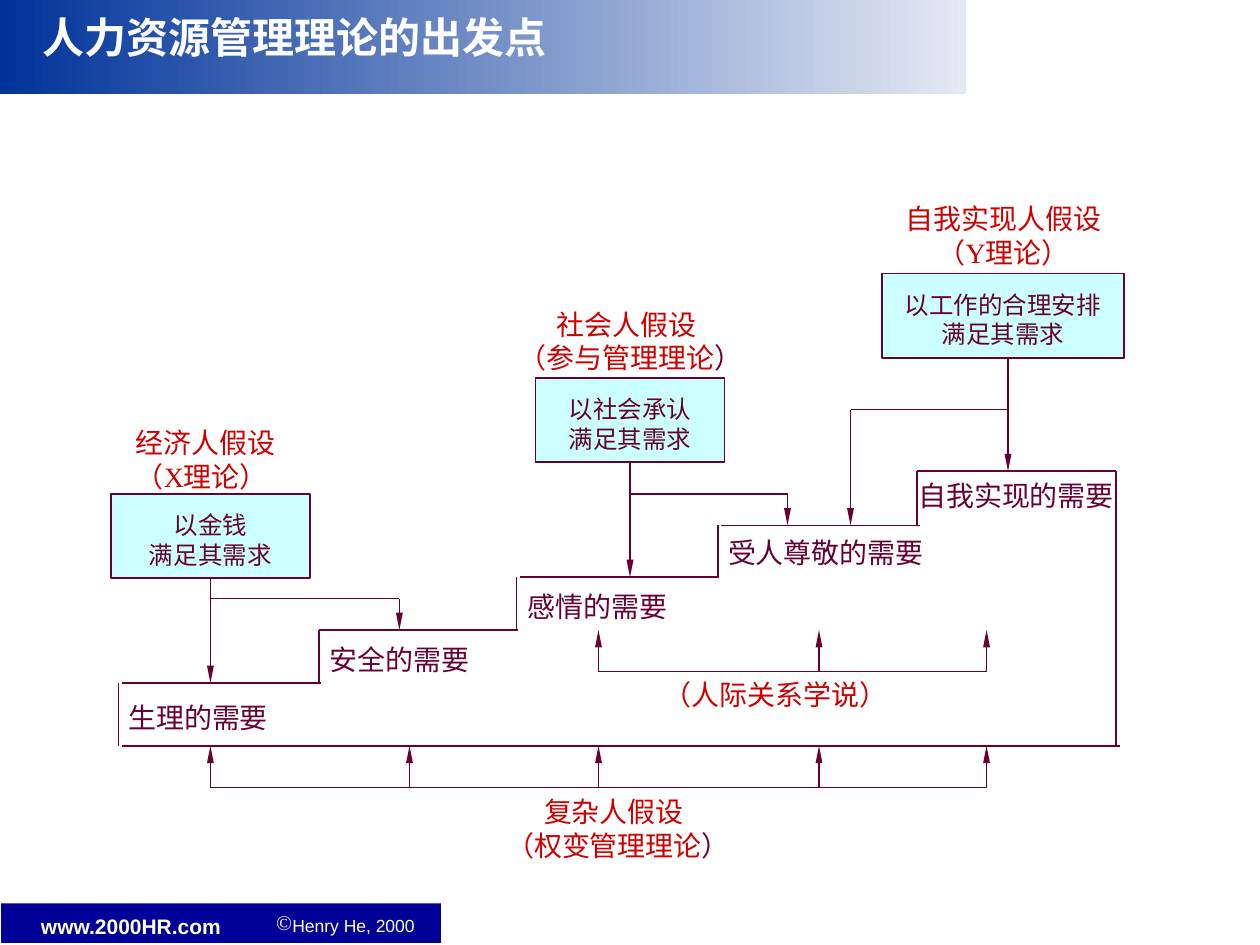
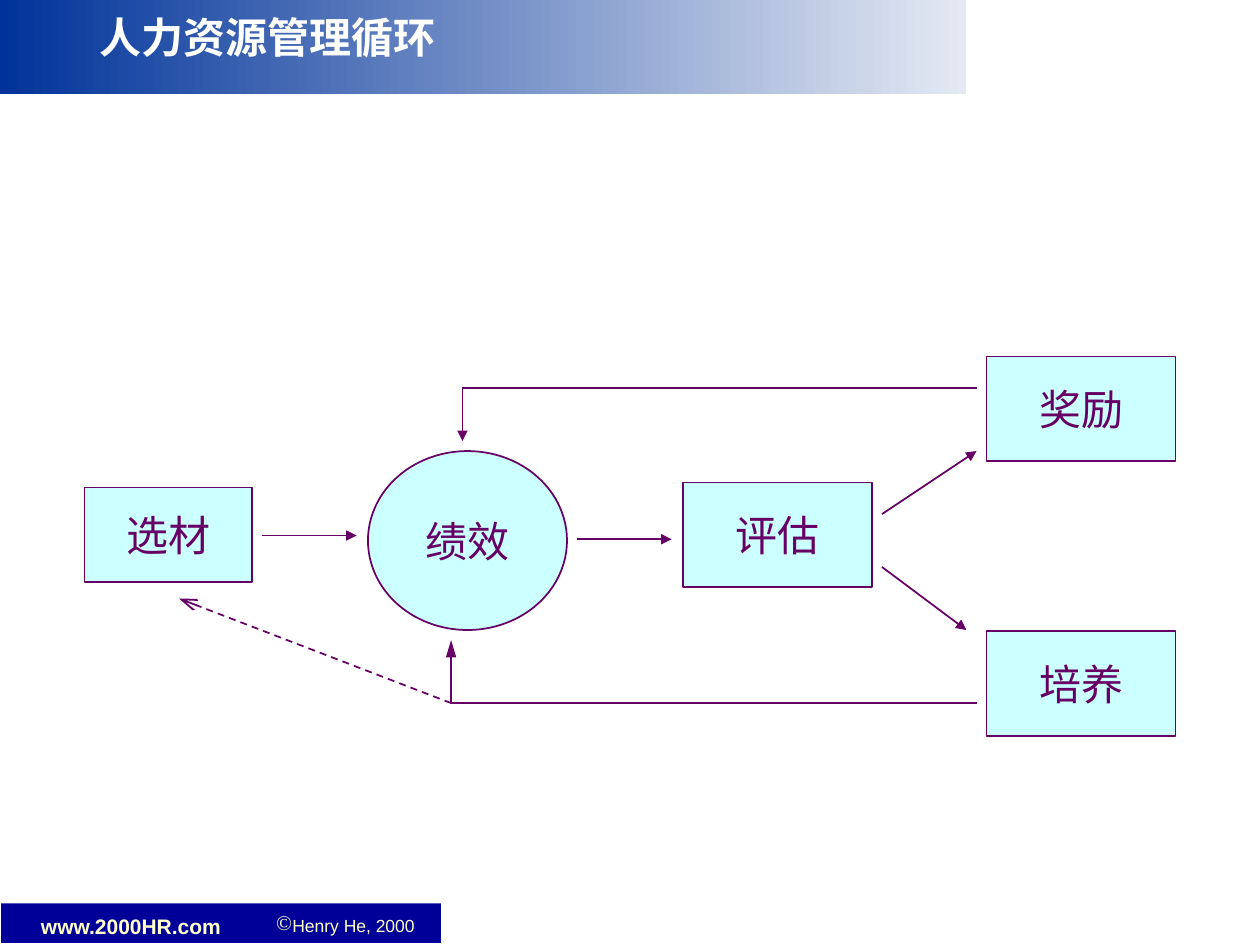
import dataclasses
from typing import NamedTuple, Optional

import pptx
import pptx.dml.color
import pptx.enum.dml
import pptx.enum.shapes
import pptx.enum.text
import pptx.oxml
import pptx.oxml.ns
import pptx.util
from pptx.util import Inches

RGB = pptx.dml.color.RGBColor.from_string
SHAPE = pptx.enum.shapes.MSO_SHAPE
ALIGN = pptx.enum.text.PP_ALIGN
ANCHOR = pptx.enum.text.MSO_ANCHOR
FIT = pptx.enum.text.MSO_AUTO_SIZE.SHAPE_TO_FIT_TEXT


@dataclasses.dataclass(frozen=True)
class Theme:
    white: str = "FFFFFF"
    band_dark: str = "003399"
    band_light: str = "E4E9F3"
    footer: str = "000099"
    cream: str = "FFFFCC"
    box: str = "CCFFFF"
    plum: str = "660033"
    purple: str = "660066"
    red: str = "CC0000"
    serif: str = "Times New Roman"
    sans: str = "Arial"
    title: int = 24
    node: int = 24
    label: int = 16
    motive: int = 14
    site: int = 12
    copyright: int = 10


T = Theme()


class Step(NamedTuple):
    riser_x: float
    tread_x: float
    top: float
    label_x: float
    label_y: float
    width: float
    text: str


class Motive(NamedTuple):
    left: float
    top: float
    width: float
    means: str
    trunk_x: float
    trunk_end: float
    fork_y: float
    fork_x: float
    fork_end: float
    centered: bool


class Caption(NamedTuple):
    left: float
    top: float
    width: float
    lines: list
    height: float = 0.64
    align: Optional[ALIGN] = None
    indent: float = 0


class Node(NamedTuple):
    left: float
    top: float
    width: float
    height: float
    text: str
    kind: SHAPE = SHAPE.RECTANGLE


class Arrow(NamedTuple):
    start: tuple
    end: tuple
    head: Optional[str] = "triangle"
    length: str = "med"
    dashed: bool = False


BASE_Y = 5.92
TREAD = 1.58

STEPS = [
    Step(0.94, 0.97, 5.42, 0.92, 5.51, 1.31, "生理的需要"),
    Step(2.53, 2.53, 5, 2.52, 5.05, 1.31, "安全的需要"),
    Step(4.1, 4.13, 4.58, 4.09, 4.63, 1.31, "感情的需要"),
    Step(5.7, 5.72, 4.17, 5.68, 4.2, 1.75, "受人尊敬的需要"),
    Step(7.28, 7.28, 3.74, 7.19, 3.75, 1.75, "自我实现的需要"),
]

MOTIVES = [
    Motive(0.88, 3.92, 1.58, "以金钱", 1.67, 5.42, 4.75, 3.17, 5, True),
    Motive(4.25, 3, 1.5, "以社会承认", 5, 4.58, 3.92, 6.25, 4.17, True),
    Motive(7, 2.17, 1.92, "以工作的合理安排", 8, 3.74, 3.25, 6.75, 4.17, False),
]

CAPTIONS = [
    Caption(0.98, 3.33, 1.35, ["经济人假设", "（X理论）"]),
    Caption(4.02, 2.39, 1.97, ["社会人假设", [("（参与管理理论", T.red), ("）", T.plum)]], indent=0.3),
    Caption(7.09, 1.55, 1.75, ["自我实现人假设", "（Y理论）"], align=ALIGN.CENTER),
    Caption(5.17, 5.33, 1.97, ["（人际关系学说）"], height=0.37),
    Caption(3.92, 6.26, 1.97, ["复杂人假设", [("（权变管理理论", T.red), ("）", T.plum)]], indent=0.3),
]

NODES = [
    Node(0.67, 3.87, 1.33, 0.75, "选材"),
    Node(2.92, 3.58, 1.58, 1.42, "绩效", SHAPE.OVAL),
    Node(7.83, 5.01, 1.5, 0.83, "培养"),
    Node(7.83, 2.83, 1.5, 0.83, "奖励"),
    Node(5.42, 3.83, 1.5, 0.83, "评估"),
]

ARROWS = [
    Arrow((2.08, 4.25), (2.83, 4.25)),
    Arrow((4.58, 4.28), (5.33, 4.28)),
    Arrow((7, 4.08), (7.75, 3.58)),
    Arrow((7, 4.5), (7.67, 5)),
    Arrow((7.75, 3.08), (3.67, 3.08), head=None),
    Arrow((3.67, 3.08), (3.67, 3.5)),
    Arrow((7.75, 5.58), (3.58, 5.58), head=None),
    Arrow((3.58, 5.58), (3.58, 5.08), length="lg"),
    Arrow((3.58, 5.58), (1.42, 4.75), head="arrow", length="lg", dashed=True),
]


def add_xml(parent, tag: str, **attrs: str):
    el = pptx.oxml.ns.qn(tag)
    child = parent.makeelement(el, attrs)
    parent.append(child)
    return child


def write(sp, lines: list, *, size: int, color: str, font: str = T.serif, bold: bool = False,
          align: Optional[ALIGN] = None, anchor=ANCHOR.TOP, wrap: bool = False,
          fit: bool = False, indent: float = 0, margins: tuple = (0.1, 0.05, 0.1, 0.05)):
    tf = sp.text_frame
    tf.word_wrap = wrap
    tf.vertical_anchor = anchor
    tf.margin_left, tf.margin_top, tf.margin_right, tf.margin_bottom = map(Inches, margins)
    if fit:
        tf.auto_size = FIT
    for i, line in enumerate(lines):
        p = tf.add_paragraph() if i else tf.paragraphs[0]
        if align is not None:
            p.alignment = align
        if indent and i == 0:
            p._p.get_or_add_pPr().set("marL", str(Inches(indent)))
        for text, shade in [(line, color)] if isinstance(line, str) else line:
            r = p.add_run()
            r.text = text
            r.font.size = pptx.util.Pt(size)
            r.font.name = font
            r.font.bold = bold
            r.font.color.rgb = RGB(shade)
    return tf


def add_text(s, left: float, top: float, width: float, height: float, lines: list, **fmt):
    sp = s.shapes.add_textbox(Inches(left), Inches(top), Inches(width), Inches(height))
    return write(sp, lines, **fmt)


def add_box(s, left: float, top: float, width: float, height: float, *,
            fill: Optional[str] = None, line: Optional[str] = None, kind=SHAPE.RECTANGLE):
    sp = s.shapes.add_shape(kind, Inches(left), Inches(top), Inches(width), Inches(height))
    sp.shadow.inherit = False
    if fill:
        sp.fill.solid()
        sp.fill.fore_color.rgb = RGB(fill)
    else:
        sp.fill.background()
    if line:
        sp.line.color.rgb = RGB(line)
        sp.line.width = pptx.util.Pt(1)
    else:
        sp.line.fill.background()
    return sp


def add_line(s, start: tuple, end: tuple, *, color: str = T.plum, head: Optional[str] = None,
             head_width: str = "sm", head_length: str = "lg", dashed: bool = False):
    cx = s.shapes.add_connector(pptx.enum.shapes.MSO_CONNECTOR.STRAIGHT,
                                *map(Inches, (*start, *end)))
    cx.line.color.rgb = RGB(color)
    cx.line.width = pptx.util.Pt(1)
    if dashed:
        cx.line.dash_style = pptx.enum.dml.MSO_LINE.DASH
    if head:
        add_xml(cx.line._get_or_add_ln(), "a:tailEnd", type=head, w=head_width, len=head_length)
    add_xml(cx._element.spPr, "a:effectLst")
    return cx


def add_comb(s, bar_y: float, tip_y: float, xs: list) -> None:
    add_line(s, (xs[0], bar_y), (xs[-1], bar_y))
    for x in xs:
        add_line(s, (x, bar_y), (x, tip_y), head="triangle")


def add_base_slide(prs, title: str, title_width: float):
    s = prs.slides.add_slide(prs.slide_layouts[6])
    add_box(s, 0, 7.17, 3.5, 0.33, fill=T.footer)
    add_box(s, 0, 0, 9.97, 7.49, line=T.white)
    tf = add_text(s, 2.19, 7.28, 1.17, 0.15, ["Henry He, 2000"], size=T.copyright, color=T.cream,
                  font=T.sans, anchor=ANCHOR.MIDDLE, wrap=True, fit=True, margins=(0, 0, 0, 0))
    p = tf.paragraphs[0]
    p.line_spacing = 0.9
    pPr = p._p.get_or_add_pPr()
    pPr.set("marL", str(Inches(0.1)))
    pPr.set("indent", str(-Inches(0.1)))
    add_xml(add_xml(pPr, "a:buClr"), "a:srgbClr", val=T.cream)
    add_xml(pPr, "a:buSzPct", val="120000")
    add_xml(pPr, "a:buChar", char="©")
    add_text(s, 0, 7.2, 2.08, 0.3, ["www.2000HR.com"], size=T.site, color=T.cream, font=T.sans,
             bold=True, align=ALIGN.CENTER, wrap=True, fit=True)
    band = add_box(s, 0, 0, 7.67, 0.75)
    band.fill.gradient()
    band.fill.gradient_angle = 0
    for stop, color in zip(band.fill.gradient_stops, (T.band_dark, T.band_light)):
        stop.color.rgb = RGB(color)
    add_text(s, 0, 0, title_width, 0.58, [title], size=T.title, color=T.white, bold=True,
             align=ALIGN.CENTER, anchor=ANCHOR.MIDDLE, wrap=True)
    return s


def build_needs_slide(prs) -> None:
    s = add_base_slide(prs, "人力资源管理理论的出发点", 4.67)
    add_line(s, (0.97, BASE_Y), (8.89, BASE_Y))
    add_line(s, (8.86, STEPS[-1].top), (8.86, BASE_Y))
    below = BASE_Y
    for step in STEPS:
        add_line(s, (step.tread_x, step.top), (step.tread_x + TREAD, step.top))
        add_line(s, (step.riser_x, below), (step.riser_x, step.top))
        add_text(s, step.label_x, step.label_y, step.width, 0.37, [step.text],
                 size=T.label, color=T.plum, fit=True)
        below = step.top
    for m in MOTIVES:
        box = add_box(s, m.left, m.top, m.width, 0.67, fill=T.box, line=T.plum)
        write(box, [m.means, "满足其需求"], size=T.motive, color=T.plum, align=ALIGN.CENTER,
              margins=(0.1, 0.13, 0.1, 0))
        trunk = add_line(s, (m.trunk_x, m.top + 0.67), (m.trunk_x, m.trunk_end), head="triangle")
        if m.centered:
            trunk.begin_connect(box, 2)
        add_line(s, (m.trunk_x, m.fork_y), (m.fork_x, m.fork_y))
        add_line(s, (m.fork_x, m.fork_y), (m.fork_x, m.fork_end), head="triangle")
    add_comb(s, 5.33, 5, [4.75, 6.5, 7.83])
    add_comb(s, 6.25, BASE_Y, [1.67, 3.25, 4.75, 6.5, 7.83])
    for c in CAPTIONS:
        add_text(s, c.left, c.top, c.width, c.height, c.lines, size=T.label, color=T.red,
                 align=c.align, indent=c.indent, fit=True)


def build_cycle_slide(prs) -> None:
    s = add_base_slide(prs, "人力资源管理循环", 4.25)
    for n in NODES:
        sp = add_box(s, n.left, n.top, n.width, n.height, fill=T.box, line=T.purple, kind=n.kind)
        write(sp, [n.text], size=T.node, color=T.purple, align=ALIGN.CENTER, anchor=ANCHOR.MIDDLE)
    for a in ARROWS:
        add_line(s, a.start, a.end, color=T.purple, head=a.head, head_width="med",
                 head_length=a.length, dashed=a.dashed)


def main() -> None:
    prs = pptx.Presentation()
    prs.slide_width, prs.slide_height = Inches(10), Inches(7.5)
    build_needs_slide(prs)
    build_cycle_slide(prs)
    prs.save("out.pptx")


if __name__ == "__main__":
    main()
